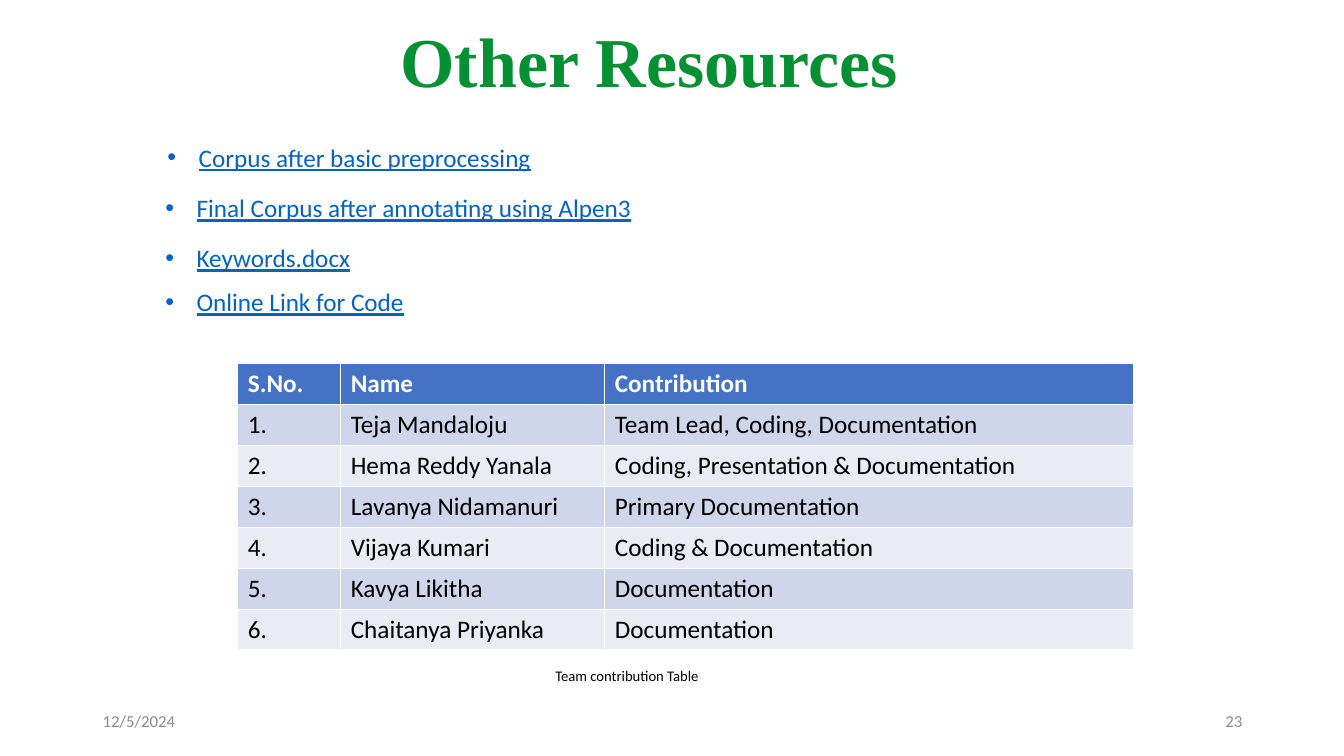
from typing import NamedTuple

from lxml import etree
from pptx import Presentation
from pptx.dml.color import RGBColor
from pptx.enum.text import MSO_ANCHOR, MSO_AUTO_SIZE, PP_ALIGN
from pptx.oxml.ns import qn
from pptx.util import Inches, Pt

LEFT, CENTER, RIGHT = PP_ALIGN.LEFT, PP_ALIGN.CENTER, PP_ALIGN.RIGHT
TOP, MIDDLE = MSO_ANCHOR.TOP, MSO_ANCHOR.MIDDLE
NO_AUTOFIT = MSO_AUTO_SIZE.NONE

SLIDE_WIDTH, SLIDE_HEIGHT = Inches(13.33), Inches(7.5)
GREEN, LINK_BLUE, GREY = "059033", "0563C1", "8C8C8C"
WHITE, BLACK = "FFFFFF", "000000"
HEADER_FILL, ROW_FILLS = "4472C4", ("CFD5EA", "E9EBF5")
HANGING_INDENT = Inches(0.31)


class Area(NamedTuple):
    """Percentages of the slide's width and height."""
    left: float
    top: float
    width: float
    height: float


class Style(NamedTuple):
    size: float
    color: str
    bold: bool = False
    underline: bool = False
    font: str = "Calibri"


class Resource(NamedTuple):
    label: str
    space_before: float
    extra_indent: float = 0


class Label(NamedTuple):
    text: str
    area: Area
    style: Style
    align: PP_ALIGN
    anchor: MSO_ANCHOR


class Member(NamedTuple):
    name: str
    contribution: str


TITLE_STYLE = Style(50, GREEN, bold=True, font="Times New Roman")
LINK_STYLE = Style(18, LINK_BLUE, underline=True)
HEADER_STYLE = Style(18, WHITE, bold=True)
CELL_STYLE = Style(18, BLACK)
FOOTER_STYLE = Style(12, GREY)

TITLE_AREA = Area(12.23, -1.07, 72.17, 19.33)
RESOURCES_AREA = Area(11.55, 18.13, 75, 24.67)
TEAM_AREA = Area(17.7, 48.13, 66.61, 37.87)
TEAM_COLUMNS = (7.65, 19.65, 39.31)

RESOURCES = (
    Resource("Corpus after basic preprocessing", 0, 0.02),
    Resource("Final Corpus after annotating using Alpen3", 14.5),
    Resource("Keywords.docx", 14),
    Resource("Online Link for Code", 10),
)
TEAM_HEADER = ("S.No.", "Name", "Contribution")
TEAM = (
    Member("Teja Mandaloju", "Team Lead, Coding, Documentation"),
    Member("Hema Reddy Yanala", "Coding, Presentation & Documentation"),
    Member("Lavanya Nidamanuri", "Primary Documentation"),
    Member("Vijaya Kumari", "Coding & Documentation"),
    Member("Kavya Likitha", "Documentation"),
    Member("Chaitanya Priyanka", "Documentation"),
)
LABELS = (
    Label("12/5/2024", Area(6.9, 92.67, 22.5, 5.33), FOOTER_STYLE, LEFT, MIDDLE),
    Label("23", Area(70.67, 92.67, 22.5, 5.33), FOOTER_STYLE, RIGHT, MIDDLE),
    Label("Team contribution Table", Area(37.28, 87.6, 18.75, 3.73),
          Style(10.5, BLACK), CENTER, TOP),
)


def rgb(color: str) -> RGBColor:
    return RGBColor.from_string(color)


def across(percent: float) -> int:
    return round(SLIDE_WIDTH * percent / 100)


def down(percent: float) -> int:
    return round(SLIDE_HEIGHT * percent / 100)


def bounds(area: Area) -> tuple[int, int, int, int]:
    return across(area.left), down(area.top), across(area.width), down(area.height)


def place(placeholder, area: Area) -> None:
    (placeholder.left, placeholder.top,
     placeholder.width, placeholder.height) = bounds(area)


def add_run(paragraph, text: str, style: Style) -> None:
    run = paragraph.add_run()
    run.text = text
    run.font.name = style.font
    run.font.size = Pt(style.size)
    run.font.bold = style.bold
    run.font.underline = style.underline
    run.font.color.rgb = rgb(style.color)


def add_bullet(paragraph, extra_indent: float) -> None:
    properties = paragraph._p.get_or_add_pPr()
    properties.set("marL", str(HANGING_INDENT + Inches(extra_indent)))
    properties.set("indent", str(-HANGING_INDENT))
    font = etree.SubElement(properties, qn("a:buFont"))
    font.set("typeface", "Arial")
    etree.SubElement(properties, qn("a:buChar")).set("char", "•")


def fill_title(title) -> None:
    place(title, TITLE_AREA)
    frame = title.text_frame
    frame.auto_size = NO_AUTOFIT
    frame.vertical_anchor = MIDDLE
    paragraph = frame.paragraphs[0]
    paragraph.alignment = CENTER
    paragraph.line_spacing = 0.9
    add_run(paragraph, "Other Resources", TITLE_STYLE)


def fill_resources(body) -> None:
    place(body, RESOURCES_AREA)
    frame = body.text_frame
    frame.auto_size = NO_AUTOFIT
    frame.vertical_anchor = TOP
    for index, resource in enumerate(RESOURCES):
        paragraph = frame.add_paragraph() if index else frame.paragraphs[0]
        paragraph.line_spacing = 1.0
        paragraph.space_before = Pt(resource.space_before)
        add_bullet(paragraph, resource.extra_indent)
        add_run(paragraph, resource.label, LINK_STYLE)


def draw_label(slide, label: Label) -> None:
    frame = slide.shapes.add_textbox(*bounds(label.area)).text_frame
    frame.word_wrap = True
    frame.vertical_anchor = label.anchor
    paragraph = frame.paragraphs[0]
    paragraph.alignment = label.align
    add_run(paragraph, label.text, label.style)


def draw_team(slide) -> None:
    entries = [TEAM_HEADER]
    entries += [(f"{number}.", *member) for number, member in enumerate(TEAM, 1)]
    team = slide.shapes.add_table(
        len(entries), len(TEAM_HEADER), *bounds(TEAM_AREA)).table
    for column, share in zip(team.columns, TEAM_COLUMNS):
        column.width = across(share)
    for row, entry in enumerate(entries):
        fill = ROW_FILLS[(row - 1) % 2] if row else HEADER_FILL
        style = CELL_STYLE if row else HEADER_STYLE
        for column, text in enumerate(entry):
            cell = team.cell(row, column)
            cell.fill.solid()
            cell.fill.fore_color.rgb = rgb(fill)
            add_run(cell.text_frame.paragraphs[0], text, style)


def main() -> None:
    deck = Presentation()
    deck.slide_width, deck.slide_height = SLIDE_WIDTH, SLIDE_HEIGHT
    slide = deck.slides.add_slide(deck.slide_layouts[1])
    fill_title(slide.shapes.title)
    fill_resources(slide.placeholders[1])
    draw_team(slide)
    for label in LABELS:
        draw_label(slide, label)
    deck.save("out.pptx")


if __name__ == "__main__":
    main()
